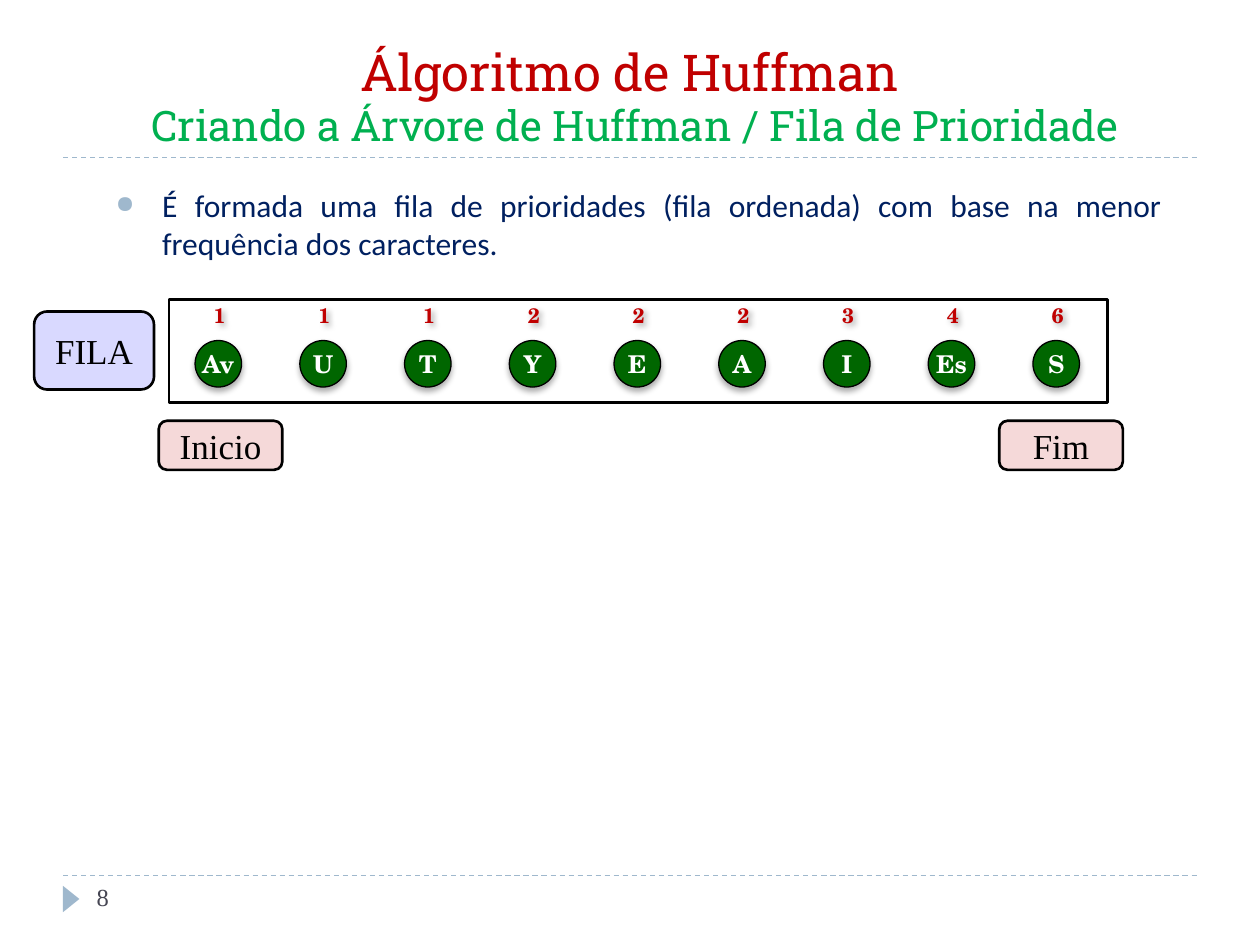
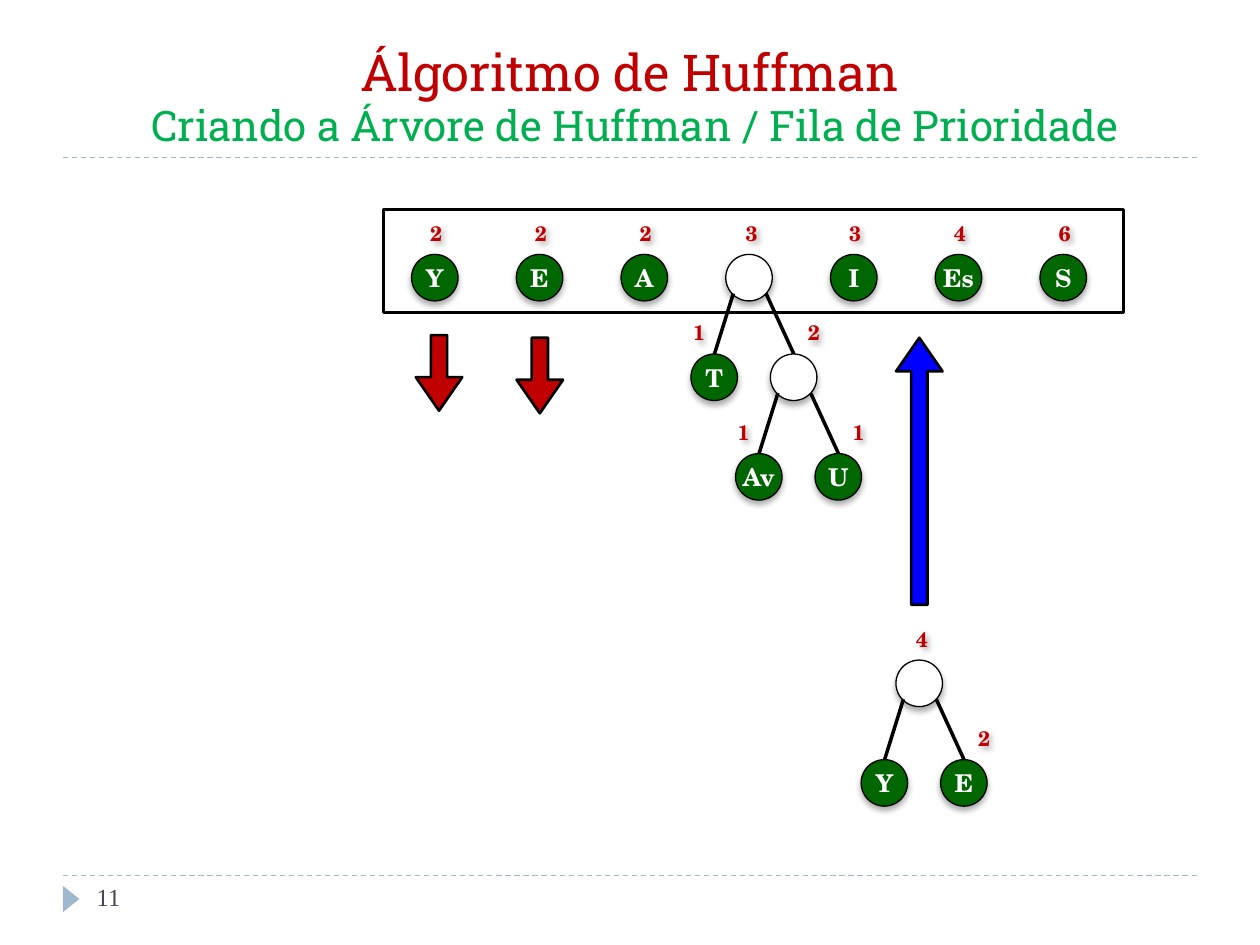
from dataclasses import dataclass
from typing import Optional

from lxml.etree import SubElement
from pptx import Presentation
from pptx.dml.color import RGBColor
from pptx.enum.dml import MSO_LINE
from pptx.enum.shapes import MSO_CONNECTOR, MSO_SHAPE
from pptx.enum.text import MSO_ANCHOR, MSO_AUTO_SIZE, PP_ALIGN
from pptx.oxml.ns import qn
from pptx.util import Pt

BLACK, WHITE = "000000", "FFFFFF"
RED, GREEN, NAVY, BLUE = "C00000", "00B050", "002060", "0000FF"
LEAF_GREEN, STEEL, SLATE = "006600", "9FB8CD", "464653"
TITLE_FONT, BODY_FONT = "Roboto Slab", "Calibri"
NODE_FONT, LABEL_FONT = "TeX Gyre Schola", "Times New Roman"

NODE_SIZE = 26.6
NODE_STEP = 59.85
COUNT_WIDTH, COUNT_HEIGHT = 29.5, 21.6
COUNT_RISE = 23
CHILD_DROP = 56.9
QUEUE_HEIGHT = 59


@dataclass
class Node:
    """A Huffman tree node; one without a symbol is an inner node."""
    symbol: str = ""
    count: str = ""
    left: Optional["Node"] = None
    right: Optional["Node"] = None


@dataclass
class Branch:
    """Offsets from a parent's corner to its child, edge ends and count."""
    child: float
    edge_top: float
    edge_bottom: float
    count: float


@dataclass
class Label:
    text: str
    left: float
    top: float
    width: float
    height: float
    fill: str


@dataclass
class Arrow:
    left: float
    top: float
    height: float
    fill: str
    rotation: int = 0


LEFT_BRANCH = Branch(-19.9, 4.3, -6.5, -10.1)
RIGHT_BRANCH = Branch(25.5, 23, 38.9, 10.1)

LABELS = [
    Label("FILA", 19.5, 178, 68.5, 44.6, BLUE),
    Label("Inicio", 90.7, 240.5, 70.6, 28, RED),
    Label("Fim", 571, 240.5, 70.6, 28, RED),
]
ARROWS = [
    Arrow(237.6, 191.5, 43.2, RED),
    Arrow(295.2, 193, 43.2, RED),
    Arrow(512, 193, 152.6, BLUE, 180),
]
FIRST_QUEUE = [
    Node("Av", "1"), Node("U", "1"), Node("T", "1"), Node("Y", "2"),
    Node("E", "2"), Node("A", "2"), Node("I", "3"), Node("Es", "4"),
    Node("S", "6"),
]
AV_AND_U = Node(count="2", left=Node("Av", "1"), right=Node("U", "1"))
LATER_QUEUE = [
    Node("Y", "2"), Node("E", "2"), Node("A", "2"),
    Node(count="3", left=Node("T", "1"), right=AV_AND_U),
    Node("I", "3"), Node("Es", "4"), Node("S", "6"),
]
NEW_TREE = Node(count="4", left=Node("Y"), right=Node("E", "2"))


def color(value: str) -> RGBColor:
    return RGBColor.from_string(value)


def add_span(para, text: str, *, size: float, font: str, fill: str,
             bold: bool = False) -> None:
    span = para.add_run()
    span.text = text
    span.font.size = Pt(size)
    span.font.name = font
    span.font.bold = bold
    span.font.color.rgb = color(fill)


def write(shape, text: str, *, align=PP_ALIGN.CENTER,
          anchor=MSO_ANCHOR.MIDDLE, inset: bool = True, **span_format):
    """Fill a shape with one formatted paragraph and return it."""
    frame = shape.text_frame
    frame.word_wrap = True
    frame.vertical_anchor = anchor
    side, edge = (Pt(7.2), Pt(3.6)) if inset else (0, 0)
    frame.margin_left = frame.margin_right = side
    frame.margin_top = frame.margin_bottom = edge
    para = frame.paragraphs[0]
    para.alignment = align
    add_span(para, text, **span_format)
    return para


def add_text(shapes, text: str, left: float, top: float, width: float,
             height: float, **text_format):
    box = shapes.add_textbox(Pt(left), Pt(top), Pt(width), Pt(height))
    return box, write(box, text, **text_format)


def add_figure(shapes, kind, left: float, top: float, width: float,
               height: float, *, fill: str = "", line: float = 1.5):
    figure = shapes.add_shape(kind, Pt(left), Pt(top), Pt(width), Pt(height))
    figure.shadow.inherit = False
    if fill:
        figure.fill.solid()
        figure.fill.fore_color.rgb = color(fill)
    else:
        figure.fill.background()
    if line:
        figure.line.color.rgb = color(BLACK)
        figure.line.width = Pt(line)
    else:
        figure.line.fill.background()
    return figure


def add_line(shapes, x1: float, y1: float, x2: float, y2: float, *,
             fill: str = BLACK, width: float = 2, dash=None) -> None:
    line = shapes.add_connector(MSO_CONNECTOR.STRAIGHT,
                                Pt(x1), Pt(y1), Pt(x2), Pt(y2))
    line.line.color.rgb = color(fill)
    line.line.width = Pt(width)
    if dash:
        line.line.dash_style = dash
    SubElement(line._element.spPr, qn("a:effectLst"))


def set_alpha(rgb_element, percent: int) -> None:
    SubElement(rgb_element, qn("a:alpha"), val=str(percent * 1000))


def add_shadow(shape, *, angle: int) -> None:
    shape.shadow.inherit = False
    effects = shape._element.spPr.find(qn("a:effectLst"))
    shadow = SubElement(effects, qn("a:outerShdw"), blurRad=str(Pt(3.5)),
                        dist=str(Pt(2.2)), dir=str(angle * 60000),
                        rotWithShape="0")
    set_alpha(SubElement(shadow, qn("a:srgbClr"), val=BLACK), 32)


def add_node(shapes, node: Node, left: float, top: float,
             count_shift: float = 0, count_rise: float = COUNT_RISE) -> None:
    circle = add_figure(shapes, MSO_SHAPE.OVAL, left, top, NODE_SIZE,
                        NODE_SIZE, line=0.75,
                        fill=LEAF_GREEN if node.symbol else WHITE)
    add_shadow(circle, angle=90)
    if node.symbol:
        write(circle, node.symbol, inset=False, size=14, font=NODE_FONT,
              fill=WHITE, bold=True)
    if node.count:
        box, _ = add_text(shapes, node.count, left + count_shift,
                          top - count_rise, COUNT_WIDTH, COUNT_HEIGHT,
                          size=12, font=NODE_FONT, fill=RED, bold=True)
        box.text_frame.auto_size = MSO_AUTO_SIZE.SHAPE_TO_FIT_TEXT
        add_shadow(box, angle=45)


def add_tree(shapes, node: Node, left: float, top: float,
             count_shift: float = 0) -> None:
    add_node(shapes, node, left, top, count_shift)
    for child, branch in ((node.right, RIGHT_BRANCH),
                          (node.left, LEFT_BRANCH)):
        if child:
            child_top = top + CHILD_DROP
            add_line(shapes, left + branch.edge_bottom, child_top,
                     left + branch.edge_top, top + 22.3)
            add_tree(shapes, child, left + branch.child, child_top,
                     branch.count)


def add_queue(page, nodes: list[Node], left: float, top: float,
              width: float, first_node: float, node_top: float,
              count_rise: float) -> None:
    add_figure(page.shapes, MSO_SHAPE.RECTANGLE, left, top, width,
               QUEUE_HEIGHT)
    for index, node in enumerate(nodes):
        node_left = first_node + index * NODE_STEP
        if node.left:
            add_tree(page.shapes.add_group_shape().shapes, node,
                     node_left, node_top)
        else:
            add_node(page.shapes, node, node_left, node_top, -0.7,
                     count_rise)


def add_page(deck, number: str):
    """Add a slide with the shared title, rules and page number."""
    page = deck.slides.add_slide(deck.slide_layouts[5])
    for rule_top in (500.4, 90):
        add_line(page.shapes, 36, rule_top, 684, rule_top, fill=STEEL,
                 width=0.75, dash=MSO_LINE.DASH)
    marker = add_figure(page.shapes, MSO_SHAPE.ISOSCELES_TRIANGLE, 33.1,
                        509, 15.1, 9.4, fill=STEEL, line=0)
    marker.rotation = 90

    title = page.shapes.title
    title.left, title.top = Pt(36), Pt(18)
    title.width, title.height = Pt(648), Pt(72)
    para = write(title, "Álgoritmo de Huffman", anchor=MSO_ANCHOR.BOTTOM,
                 size=29, font=TITLE_FONT, fill=RED)
    title.text_frame.auto_size = MSO_AUTO_SIZE.NONE
    para.line_spacing = 0.95
    para.add_line_break()
    add_span(para, " Criando a Árvore de Huffman / Fila de Prioridade",
             size=24, font=TITLE_FONT, fill=GREEN)

    add_text(page.shapes, number, 48.2, 500.4, 156, 28.8,
             align=PP_ALIGN.LEFT, anchor=MSO_ANCHOR.TOP, size=14,
             font=LABEL_FONT, fill=SLATE)
    return page


def add_bullet(para, indent: float) -> None:
    properties = para._p.get_or_add_pPr()
    properties.set("marL", str(Pt(indent)))
    properties.set("indent", str(-Pt(indent)))
    bullet_color = SubElement(properties, qn("a:buClr"))
    SubElement(bullet_color, qn("a:srgbClr"), val=STEEL)
    SubElement(properties, qn("a:buSzPct"), val="76000")
    SubElement(properties, qn("a:buChar"), char="●")


def add_label(page, label: Label) -> None:
    figure = add_figure(page.shapes, MSO_SHAPE.FLOWCHART_ALTERNATE_PROCESS,
                        label.left, label.top, label.width, label.height,
                        fill=label.fill)
    fill = figure._element.spPr.find(qn("a:solidFill"))
    set_alpha(fill.find(qn("a:srgbClr")), 15)
    write(figure, label.text, size=20, font=LABEL_FONT, fill=BLACK)


def add_arrow(page, arrow: Arrow) -> None:
    figure = add_figure(page.shapes, MSO_SHAPE.DOWN_ARROW, arrow.left,
                        arrow.top, NODE_SIZE, arrow.height, fill=arrow.fill)
    figure.adjustments[0] = 0.35
    figure.adjustments[1] = 0.72
    figure.rotation = arrow.rotation


def build_first_queue(deck) -> None:
    page = add_page(deck, "8")
    add_queue(page, FIRST_QUEUE, 96.5, 171.2, 536.4, 111.5, 194.6, 25.4)
    _, para = add_text(
        page.shapes,
        "É formada uma fila de prioridades (fila ordenada) com base na "
        "menor frequência dos caracteres.",
        59, 103, 612, 51.8, align=PP_ALIGN.JUSTIFY, anchor=MSO_ANCHOR.TOP,
        size=18, font=BODY_FONT, fill=NAVY)
    add_bullet(para, 26.6)
    for label in LABELS:
        add_label(page, label)


def build_later_queue(deck) -> None:
    page = add_page(deck, "11")
    add_queue(page, LATER_QUEUE, 219, 119.6, 423.2, 235.2, 145.4, COUNT_RISE)
    add_tree(page.shapes.add_group_shape().shapes, NEW_TREE, 512, 377.2)
    for arrow in ARROWS:
        add_arrow(page, arrow)


def main() -> None:
    deck = Presentation()
    deck.slide_width, deck.slide_height = Pt(720), Pt(540)
    build_first_queue(deck)
    build_later_queue(deck)
    deck.save("out.pptx")


if __name__ == "__main__":
    main()
